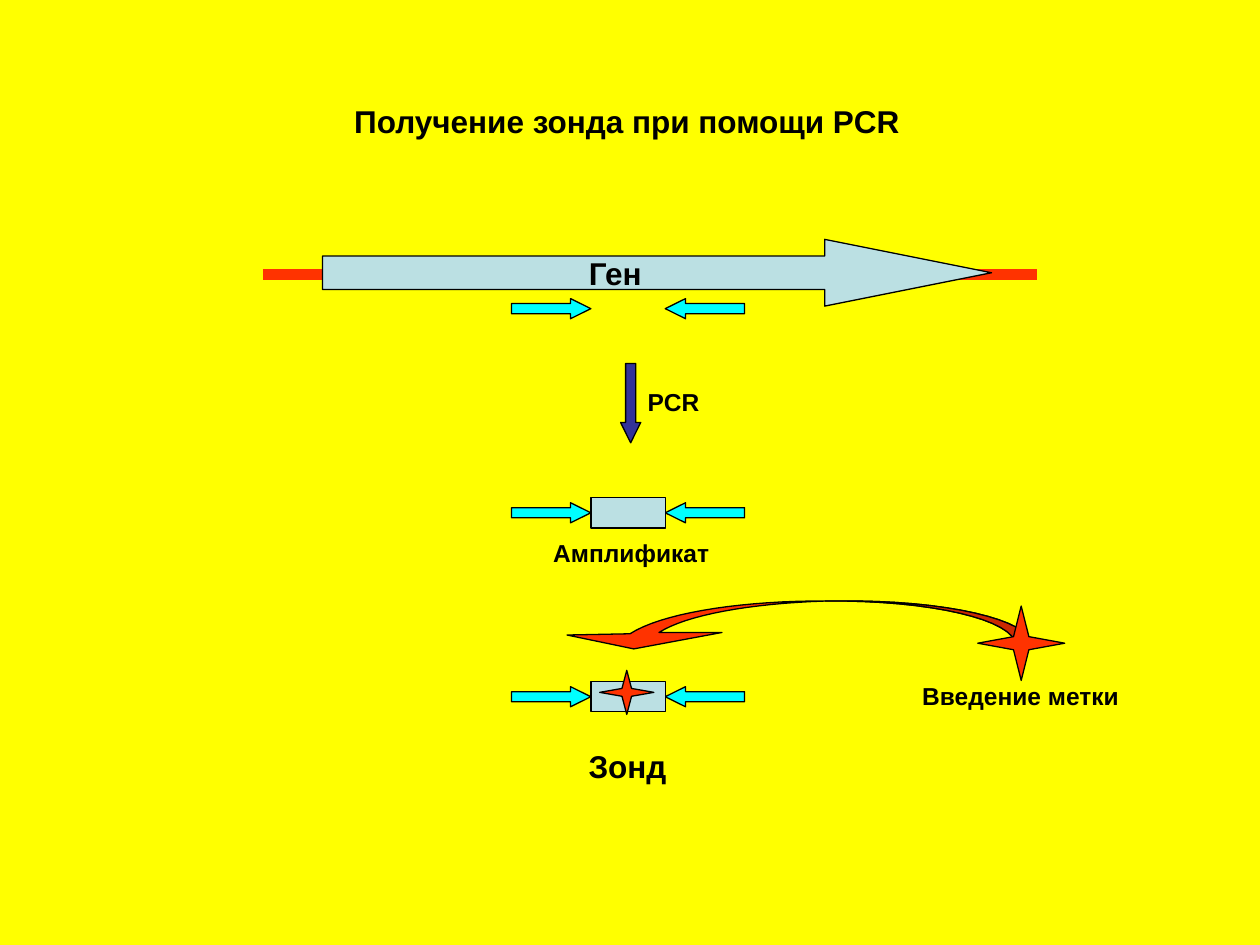
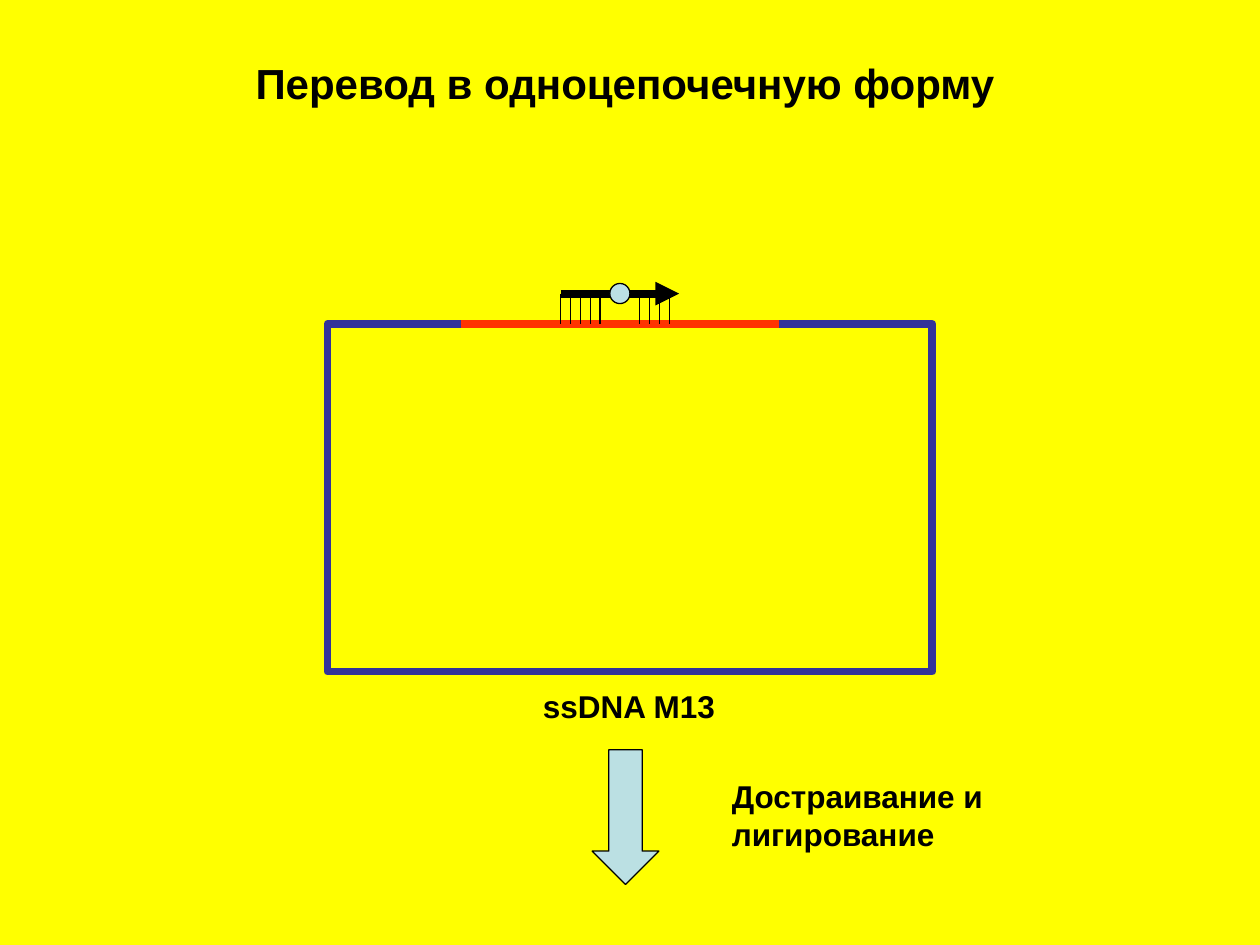
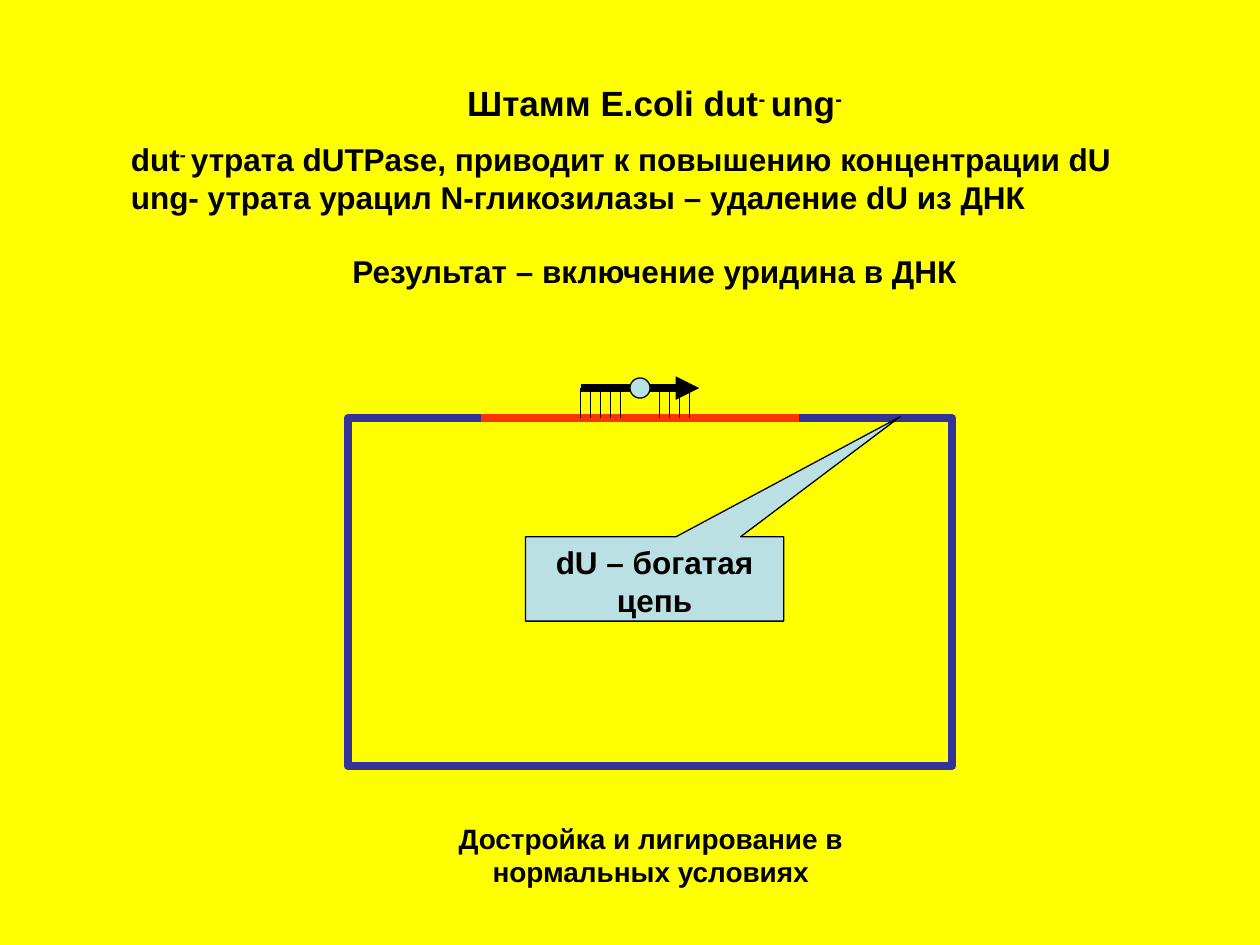
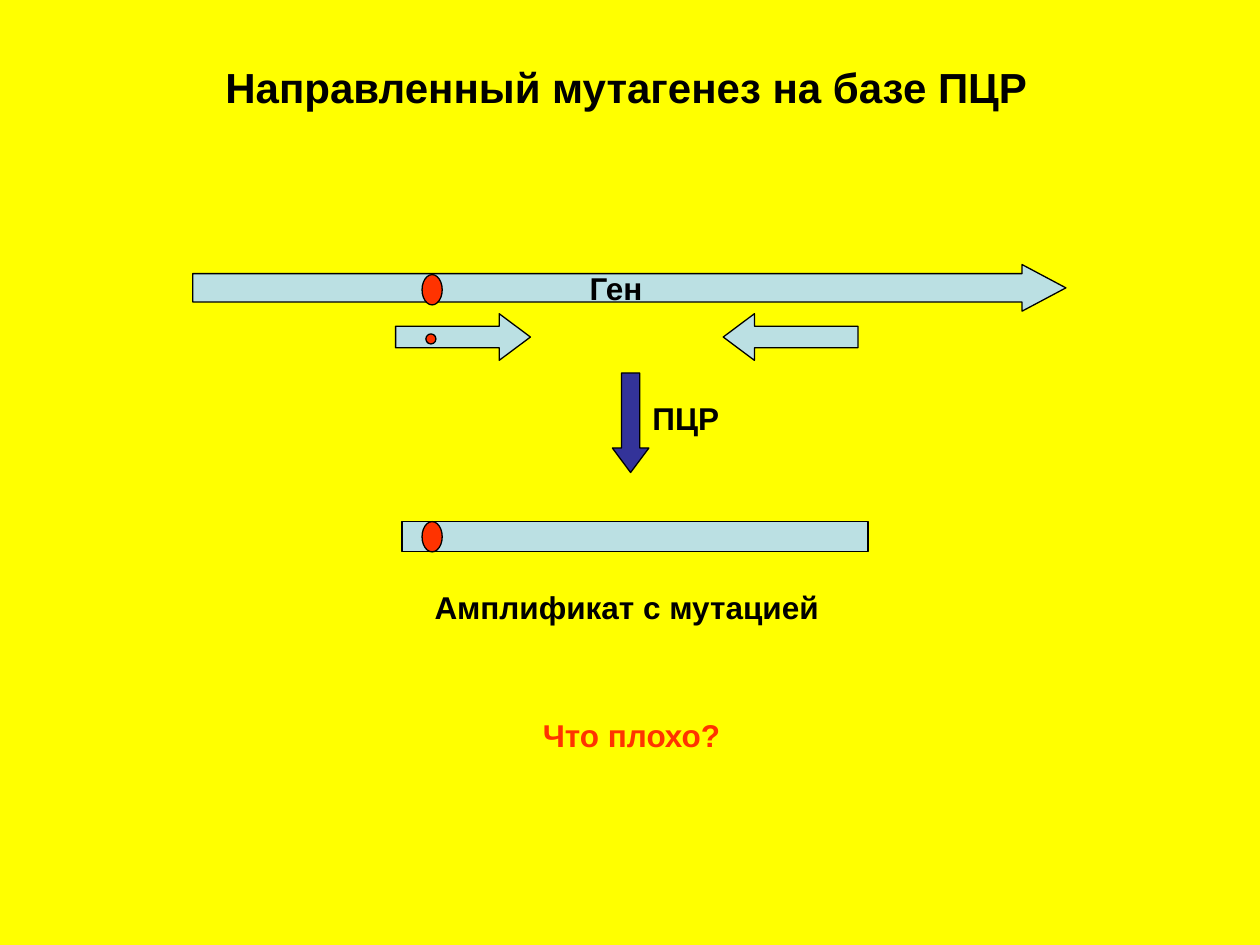
"""Builds four slides on PCR probes and site-directed mutagenesis."""
from dataclasses import dataclass
from typing import NamedTuple

from lxml import etree
from pptx import Presentation
from pptx import util as u
from pptx.dml import color
from pptx.enum import shapes, text
from pptx.oxml import ns

KIND = shapes.MSO_SHAPE
ALIGN = text.PP_ALIGN


@dataclass(frozen=True)
class Theme:
    font: str = "Arial"
    background: str = "FFFF00"
    ink: str = "000000"
    gene: str = "BBE0E3"
    primer: str = "00FFFF"
    vector: str = "333399"
    accent: str = "FF3300"
    accent_shade: str = "CC2900"
    title: int = 24
    heading: int = 20
    body: int = 18
    note: int = 16
    label: int = 14
    thin: float = 0.75
    strand: float = 4.5
    thick: float = 6


THEME = Theme()


class Area(NamedTuple):
    left: float
    top: float
    width: float
    height: float

    def lengths(self) -> list:
        return [u.Inches(value) for value in self]


class Figure(NamedTuple):
    kind: KIND
    area: Area
    fill: str | None = THEME.gene
    adjust: tuple = ()
    rotation: float = 0
    line: str = THEME.ink
    weight: float = THEME.thin


class Label(NamedTuple):
    words: str
    area: Area
    size: int = THEME.body
    align: ALIGN = ALIGN.LEFT
    wrap: bool = False
    ink: str = THEME.ink


def rgb(value: str) -> color.RGBColor:
    return color.RGBColor.from_string(value)


def write(frame, words: str, *, size: int = THEME.body, ink: str = THEME.ink,
          align: ALIGN = ALIGN.LEFT, before: float = 0, wrap: bool = True,
          anchor=text.MSO_ANCHOR.TOP) -> None:
    """Adds one bold paragraph; pieces between carets are superscript."""
    frame.word_wrap = wrap
    frame.vertical_anchor = anchor
    para = frame.paragraphs[0]
    if para.runs:
        para = frame.add_paragraph()
    para.alignment = align
    if before:
        para.space_before = u.Pt(before)
    for index, piece in enumerate(words.split("^")):
        if not piece:
            continue
        span = para.add_run()
        span.text = piece
        span.font.name = THEME.font
        span.font.size = u.Pt(size)
        span.font.bold = True
        span.font.color.rgb = rgb(ink)
        if index % 2:
            span.font._element.set("baseline", "30000")


def paint(shape, fill: str | None, line: str, weight: float) -> None:
    shape.shadow.inherit = False
    if fill is None:
        shape.fill.background()
    else:
        shape.fill.solid()
        shape.fill.fore_color.rgb = rgb(fill)
    shape.line.color.rgb = rgb(line)
    shape.line.width = u.Pt(weight)


def draw_figure(page, figure: Figure):
    shape = page.shapes.add_shape(figure.kind, *figure.area.lengths())
    paint(shape, figure.fill, figure.line, figure.weight)
    shape.rotation = figure.rotation
    for index, value in enumerate(figure.adjust):
        shape.adjustments[index] = value
    return shape


def draw_label(page, label: Label) -> None:
    box = page.shapes.add_textbox(*label.area.lengths())
    write(box.text_frame, label.words, size=label.size, ink=label.ink,
          align=label.align, wrap=label.wrap)


def draw_line(page, start: tuple, end: tuple, ink: str = THEME.ink,
              weight: float = THEME.thin, arrow: bool = False) -> None:
    ends = [u.Inches(value) for value in (*start, *end)]
    line = page.shapes.add_connector(shapes.MSO_CONNECTOR.STRAIGHT, *ends)
    line.line.color.rgb = rgb(ink)
    line.line.width = u.Pt(weight)
    if arrow:
        etree.SubElement(line.line._get_or_add_ln(), ns.qn("a:tailEnd"), type="triangle")
    etree.SubElement(line._element.spPr, ns.qn("a:effectLst"))


def curve(start: tuple, first: tuple, second: tuple, end: tuple, steps: int = 16) -> list:
    """Returns points along a cubic Bezier curve."""
    points = []
    for step in range(steps + 1):
        t = step / steps
        weights = ((1 - t) ** 3, 3 * t * (1 - t) ** 2, 3 * t * t * (1 - t), t ** 3)
        points.append(tuple(sum(w * p[axis] for w, p in zip(weights, (start, first, second, end)))
                            for axis in (0, 1)))
    return points


def draw_outline(page, points: list, fill: str) -> None:
    builder = page.shapes.build_freeform(
        *(u.Inches(value) for value in points[0]), scale=1.0)
    builder.add_line_segments([(u.Inches(x), u.Inches(y)) for x, y in points[1:]])
    paint(builder.convert_to_shape(), fill, THEME.ink, THEME.thin)


def draw_label_transfer(page) -> None:
    """Draws the curved arrow that carries the tag to the probe."""
    outer_right = curve((8.19, 5.12), (8.19, 4.92), (7.5, 4.76), (6.66, 4.77))
    inner_right = curve((6.55, 4.77), (7.38, 4.76), (8.06, 4.92), (8.06, 5.12))
    outer_left = curve((6.43, 4.77), (5.82, 4.78), (5.25, 4.87), (5, 5.03))
    inner_left = curve((5.23, 5.02), (5.45, 4.88), (5.95, 4.79), (6.55, 4.77))
    head = [(4.5, 5.04), (5.03, 5.15), (5.73, 5.02)]
    draw_outline(page, outer_right + outer_left + head + inner_left + inner_right, THEME.accent)
    draw_outline(page, outer_right + inner_right, THEME.accent_shade)


def draw_gene(page, area: Area, adjust: tuple) -> None:
    gene = draw_figure(page, Figure(KIND.RIGHT_ARROW, area, adjust=adjust))
    write(gene.text_frame, "Ген", align=ALIGN.CENTER, wrap=False,
          anchor=text.MSO_ANCHOR.MIDDLE)


def draw_primers(page, top: float, amplified: bool = True) -> None:
    """Draws a facing primer pair, with the amplified part between them."""
    for kind, left in ((KIND.RIGHT_ARROW, 4.06), (KIND.LEFT_ARROW, 5.28)):
        draw_figure(page, Figure(kind, Area(left, top, 0.63, 0.16), THEME.primer, (0.5, 1.01)))
    if amplified:
        draw_figure(page, Figure(KIND.RECTANGLE, Area(4.69, top - 0.04, 0.59, 0.24)))


def draw_vector(page, left: float, top: float) -> None:
    """Draws the circular vector with its insert and the annealed mutant primer."""
    draw_figure(page, Figure(KIND.RECTANGLE, Area(left, top, 4.8, 2.76), None,
                             line=THEME.vector, weight=THEME.strand))
    draw_line(page, (left + 1.06, top), (left + 3.58, top), THEME.accent, THEME.strand)
    start, length, height = left + 1.85, 0.94, top - 0.24
    draw_line(page, (start, height), (start + length, height), weight=THEME.strand, arrow=True)
    draw_figure(page, Figure(KIND.OVAL, Area(left + 2.24, height - 0.08, 0.16, 0.16)))
    for pair in (*range(5), *range(8, 12)):
        x = start + pair * length / 12
        draw_line(page, (x, height), (x, top))


def build_probe(page) -> None:
    draw_label(page, Label("Получение зонда при помощи PCR", Area(2.69, 0.76, 4.55, 0.4),
                           align=ALIGN.RIGHT))
    draw_line(page, (2.09, 2.18), (8.23, 2.18), THEME.accent, THEME.thick)
    draw_gene(page, Area(2.56, 1.9, 5.31, 0.53), (0.5, 2.5))
    draw_primers(page, 2.37, amplified=False)
    draw_figure(page, Figure(KIND.RIGHT_ARROW, Area(4.69, 3.12, 0.63, 0.16), THEME.vector,
                             (0.5, 1.01), rotation=90))
    for top in (3.99, 5.45):
        draw_primers(page, top)
    draw_label_transfer(page)
    for area in (Area(7.76, 4.81, 0.69, 0.59), Area(4.76, 5.32, 0.43, 0.35)):
        draw_figure(page, Figure(KIND.STAR_4_POINT, area, THEME.accent, (0.125,)))
    for label in (
        Label("PCR", Area(5.04, 3.02, 0.61, 0.34), THEME.label, ALIGN.RIGHT),
        Label("Амплификат", Area(4.29, 4.22, 1.44, 0.34), THEME.label, ALIGN.CENTER),
        Label("Введение метки", Area(7.21, 5.36, 1.77, 0.34), THEME.label, ALIGN.RIGHT, True),
        Label("Зонд", Area(4.57, 5.88, 0.82, 0.4), align=ALIGN.CENTER),
    ):
        draw_label(page, label)


def build_single_strand(page) -> None:
    draw_label(page, Label("Перевод в одноцепочечную форму", Area(1.93, 0.41, 6.1, 0.5),
                           THEME.title))
    draw_vector(page, 2.6, 2.57)
    draw_label(page, Label("ssDNA M13", Area(4.21, 5.4, 1.57, 0.4)))
    draw_figure(page, Figure(KIND.DOWN_ARROW, Area(4.7, 5.95, 0.53, 1.07), adjust=(0.5, 0.5)))
    draw_label(page, Label("Достраивание и лигирование", Area(5.71, 6.12, 2.23, 0.7), wrap=True))


def build_strain(page) -> None:
    draw_vector(page, 2.76, 3.32)
    frame = page.shapes.add_textbox(*Area(0.94, 0.6, 8.51, 2.07).lengths()).text_frame
    write(frame, "Штамм E.coli dut^- ^ung^-", size=THEME.heading, align=ALIGN.CENTER)
    write(frame, "dut^- ^утрата dUTPase, приводит к повышению концентрации dU", before=9.2)
    write(frame, "ung- утрата урацил N-гликозилазы – удаление dU из ДНК")
    write(frame, "Результат – включение уридина в ДНК", align=ALIGN.CENTER, before=20.7)
    callout = draw_figure(page, Figure(KIND.RECTANGULAR_CALLOUT, Area(4.17, 4.26, 2.05, 0.67),
                                       adjust=(0.95, -1.92)))
    write(callout.text_frame, "dU – богатая цепь", align=ALIGN.CENTER)
    draw_label(page, Label("Достройка и лигирование в нормальных условиях",
                           Area(3.46, 6.47, 3.41, 0.64), THEME.note, ALIGN.CENTER, True))


def build_mutagenesis(page) -> None:
    draw_label(page, Label("Направленный мутагенез на базе ПЦР", Area(1.69, 0.44, 6.57, 0.5),
                           THEME.title))
    draw_gene(page, Area(1.53, 2.1, 6.93, 0.37), (0.61, 0.94))
    primer = (0.46, 0.67)
    for figure in (
        Figure(KIND.OVAL, Area(3.35, 2.18, 0.16, 0.24), THEME.accent),
        Figure(KIND.RIGHT_ARROW, Area(3.14, 2.49, 1.07, 0.37), adjust=primer),
        Figure(KIND.OVAL, Area(3.38, 2.65, 0.08, 0.08), THEME.accent),
        Figure(KIND.LEFT_ARROW, Area(5.74, 2.49, 1.07, 0.37), adjust=primer),
        Figure(KIND.DOWN_ARROW, Area(4.86, 2.96, 0.29, 0.79), THEME.vector, (0.5, 0.67)),
        Figure(KIND.RECTANGLE, Area(3.19, 4.14, 3.7, 0.24)),
        Figure(KIND.OVAL, Area(3.35, 4.14, 0.16, 0.24), THEME.accent),
    ):
        draw_figure(page, figure)
    for label in (
        Label("ПЦР", Area(5.08, 3.12, 0.73, 0.4)),
        Label("Амплификат с мутацией", Area(3.35, 4.62, 3.25, 0.4)),
        Label("Что плохо?", Area(4.21, 5.63, 1.62, 0.4), ink=THEME.accent),
    ):
        draw_label(page, label)


def main() -> None:
    deck = Presentation()
    deck.slide_width, deck.slide_height = u.Inches(10), u.Inches(7.5)
    backdrop = deck.slide_master.background.fill
    backdrop.solid()
    backdrop.fore_color.rgb = rgb(THEME.background)
    for build in (build_probe, build_single_strand, build_strain, build_mutagenesis):
        build(deck.slides.add_slide(deck.slide_layouts[6]))
    deck.save("out.pptx")


if __name__ == "__main__":
    main()
